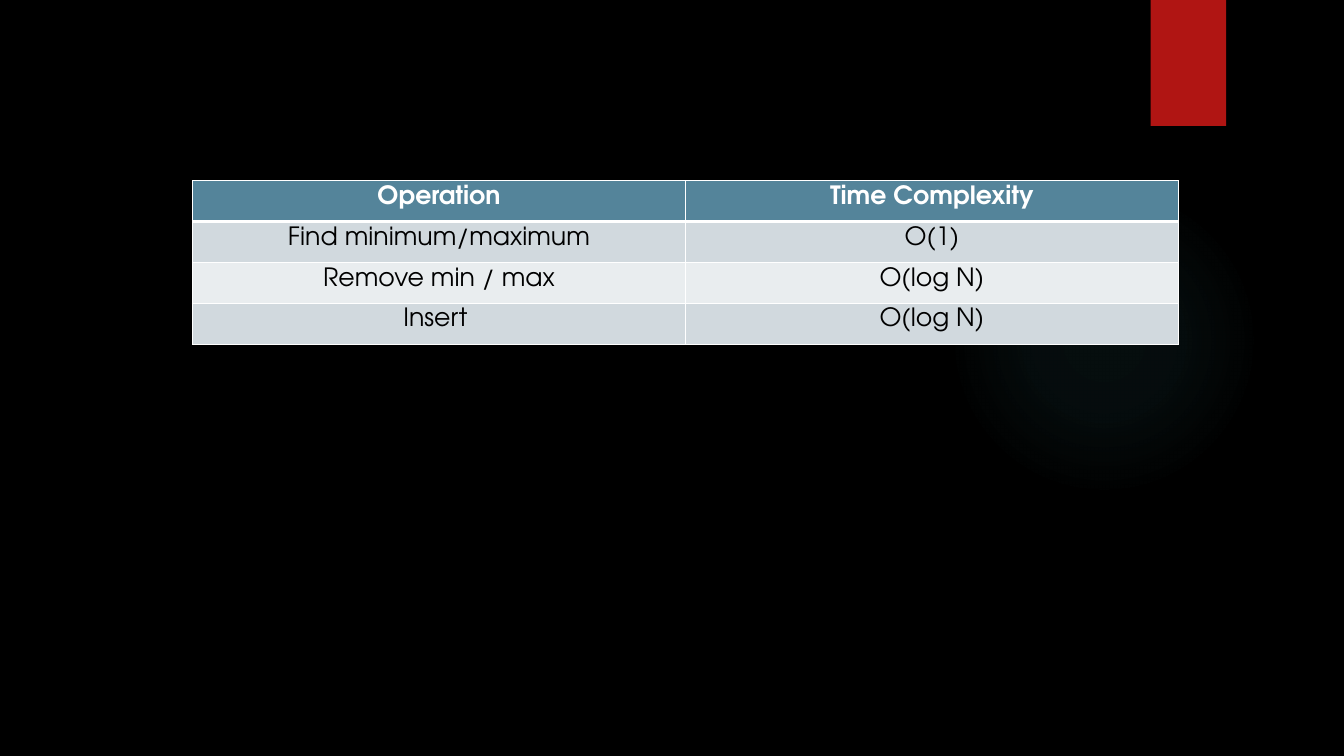
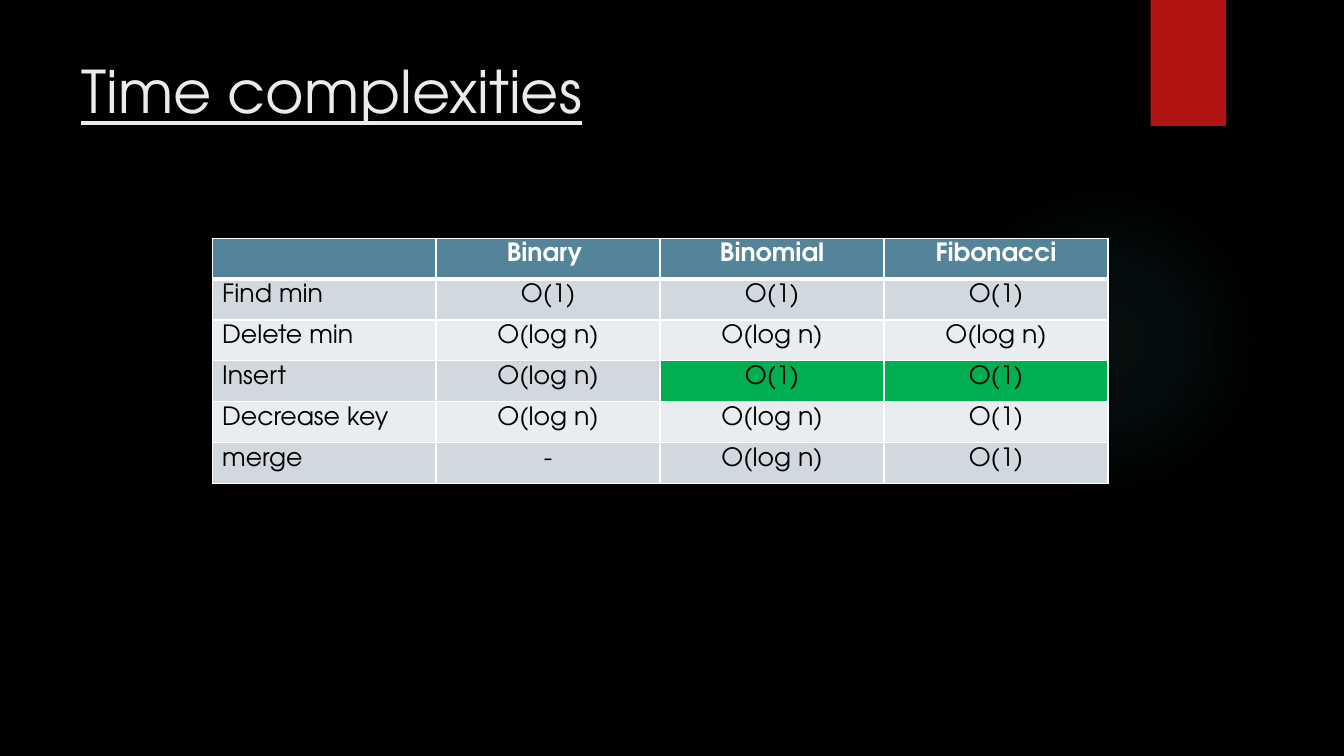
"""Build two slides on the time complexity of heap operations."""
from lxml import etree
from pptx import Presentation
from pptx.dml.color import RGBColor
from pptx.enum.shapes import MSO_SHAPE
from pptx.enum.text import MSO_ANCHOR, PP_ALIGN
from pptx.oxml import parse_xml
from pptx.oxml.ns import qn
from pptx.util import Pt

RECTANGLE, OVAL = MSO_SHAPE.RECTANGLE, MSO_SHAPE.OVAL
LEFT, CENTER = PP_ALIGN.LEFT, PP_ALIGN.CENTER
TOP = MSO_ANCHOR.TOP
FONT = "TeX Gyre Adventor"
COLORS = {
    "background": "000000",
    "glow": "50B9C1",
    "ribbon": "B01513",
    "title": "EBEBEB",
    "header": "54849A",
    "odd": "D1D9DE",
    "even": "E9EDEF",
    "highlight": "00B050",
    "light": "FFFFFF",
    "dark": "000000",
}
GLOW_STOPS = [(0, 7), (36, 6), (69, 0)]
ROW_HEIGHT = 29.2
CELL_MARGIN = 3.6
OPERATIONS = [
    ["Operation", "Time Complexity"],
    ["Find minimum/maximum", "O(1)"],
    ["Remove min / max", "O(log N)"],
    ["Insert ", "O(log N)"],
]
HEAPS = [
    ["", "Binary ", "Binomial", "Fibonacci"],
    ["Find min", "O(1)", "O(1)", "O(1)"],
    ["Delete min", "O(log n)", "O(log n)", "O(log n)"],
    ["Insert", "O(log n)", "O(1)", "O(1)"],
    ["Decrease key", "O(log n)", "O(log n)", "O(1)"],
    ["merge", "-", "O(log n)", "O(1)"],
]


def rgb(name):
    return RGBColor.from_string(COLORS[name])


def write_text(frame, text, size=18, color="dark", bold=False, underline=False, align=LEFT):
    paragraph = frame.paragraphs[0]
    paragraph.alignment = align
    run = paragraph.add_run()
    run.text = text
    font = run.font
    font.name, font.size = FONT, Pt(size)
    font.bold, font.underline = bold, underline
    font.color.rgb = rgb(color)


def add_plain_shape(slide, kind, left, top, width, height, color):
    shape = slide.shapes.add_shape(kind, Pt(left), Pt(top), Pt(width), Pt(height))
    shape.shadow.inherit = False
    shape.fill.solid()
    shape.fill.fore_color.rgb = rgb(color)
    shape.line.fill.background()
    return shape


def fade_radially(shape, color, stops):
    stop_xml = "".join(
        f'<a:gs pos="{position * 1000}"><a:srgbClr val="{COLORS[color]}">'
        f'<a:alpha val="{opacity * 1000}"/></a:srgbClr></a:gs>'
        for position, opacity in stops
    )
    gradient = parse_xml(
        '<a:gradFill xmlns:a="http://schemas.openxmlformats.org/drawingml/2006/main" '
        f'rotWithShape="1"><a:gsLst>{stop_xml}</a:gsLst><a:path path="circle">'
        '<a:fillToRect l="50000" t="50000" r="50000" b="50000"/></a:path></a:gradFill>'
    )
    properties = shape.element.spPr
    properties.replace(properties.find(qn("a:solidFill")), gradient)


def add_themed_slide(presentation):
    slide = presentation.slides.add_slide(presentation.slide_layouts[6])
    glow = add_plain_shape(slide, OVAL, 677.5, 131.8, 221.8, 221.8, "glow")
    fade_radially(glow, "glow", GLOW_STOPS)
    add_plain_shape(slide, RECTANGLE, 821.9, 0, 54, 90, "ribbon")
    return slide


def add_title(slide, text):
    box = slide.shapes.add_textbox(Pt(51), Pt(35.5), Pt(741), Pt(110))
    box.text_frame.word_wrap = True
    box.text_frame.vertical_anchor = TOP
    write_text(box.text_frame, text, size=42, color="title", underline=True)


def add_border(cell, side, width):
    properties = cell._tc.get_or_add_tcPr()
    line = etree.SubElement(properties, qn(f"a:ln{side}"), w=str(Pt(width)))
    fill = etree.SubElement(line, qn("a:solidFill"))
    etree.SubElement(fill, qn("a:srgbClr"), val=COLORS["light"])


def style_cell(cell, fill, top_line, bottom_line):
    cell.margin_top = cell.margin_bottom = Pt(CELL_MARGIN)
    cell.vertical_anchor = TOP
    for side, width in (("L", 1), ("R", 1), ("T", top_line), ("B", bottom_line)):
        add_border(cell, side, width)
    cell.fill.solid()
    cell.fill.fore_color.rgb = rgb(fill)


def add_grid(slide, rows, left, top, column_width, label_align=CENTER, highlights=()):
    column_count = len(rows[0])
    table = slide.shapes.add_table(
        len(rows), column_count, Pt(left), Pt(top),
        Pt(column_width * column_count), Pt(ROW_HEIGHT * len(rows)),
    ).table
    for column in table.columns:
        column.width = Pt(column_width)
    for row_index, row in enumerate(rows):
        table.rows[row_index].height = Pt(ROW_HEIGHT)
        is_header = row_index == 0
        band = "header" if is_header else ("even", "odd")[row_index % 2]
        for column_index, text in enumerate(row):
            cell = table.cell(row_index, column_index)
            fill = "highlight" if (row_index, column_index) in highlights else band
            style_cell(cell, fill, 3 if row_index == 1 else 1, 3 if is_header else 1)
            write_text(
                cell.text_frame, text, bold=is_header,
                color="light" if is_header else "dark",
                align=CENTER if column_index else label_align,
            )


def main():
    presentation = Presentation()
    presentation.slide_width, presentation.slide_height = Pt(960), Pt(540)
    background = presentation.slide_master.background.fill
    background.solid()
    background.fore_color.rgb = rgb("background")

    operations_slide = add_themed_slide(presentation)
    add_grid(operations_slide, OPERATIONS, 137.5, 129, 352.1)

    heaps_slide = add_themed_slide(presentation)
    add_title(heaps_slide, "Time complexities")
    add_grid(heaps_slide, HEAPS, 151.5, 170.2, 160, label_align=LEFT, highlights={(3, 2), (3, 3)})

    presentation.save("out.pptx")


if __name__ == "__main__":
    main()
